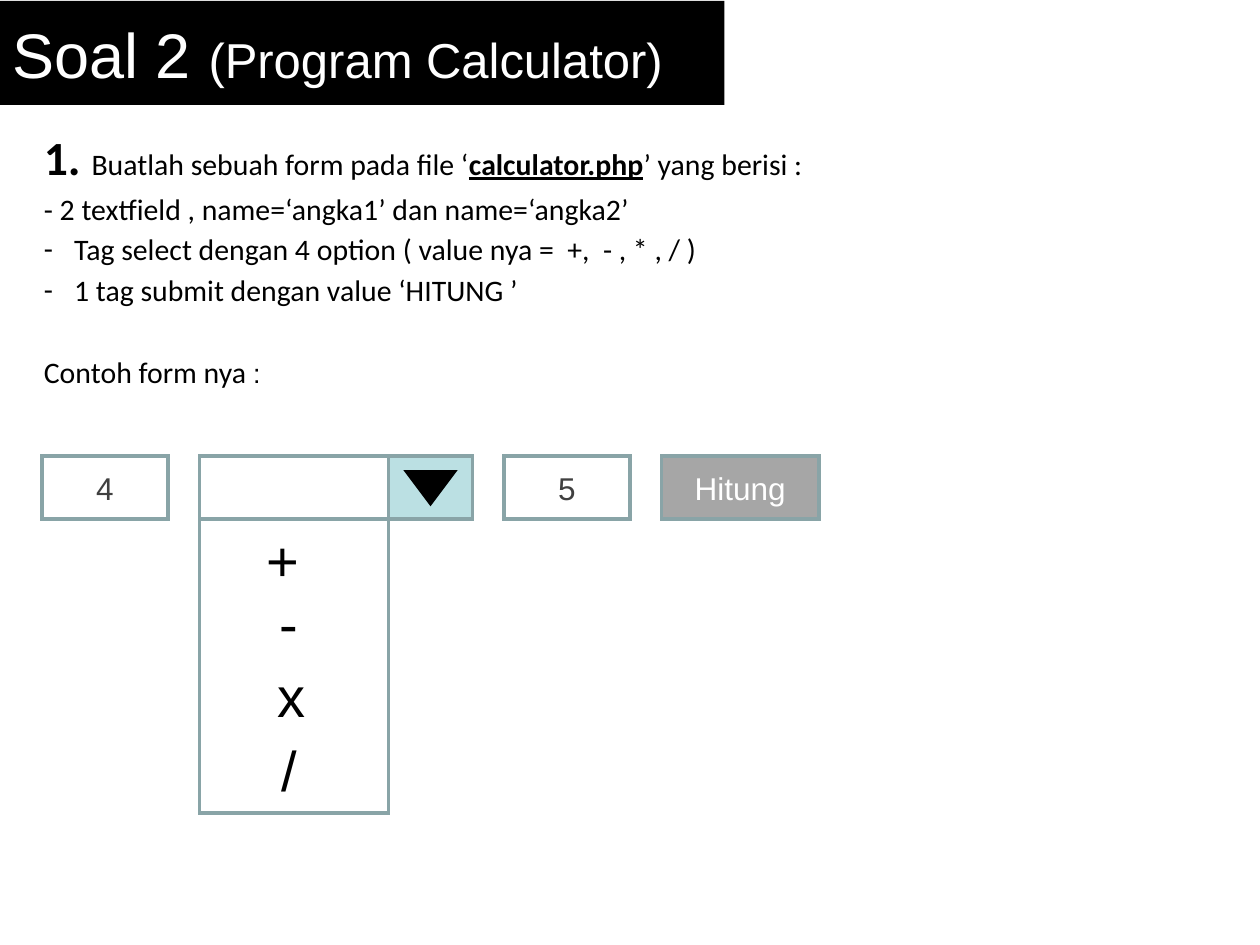
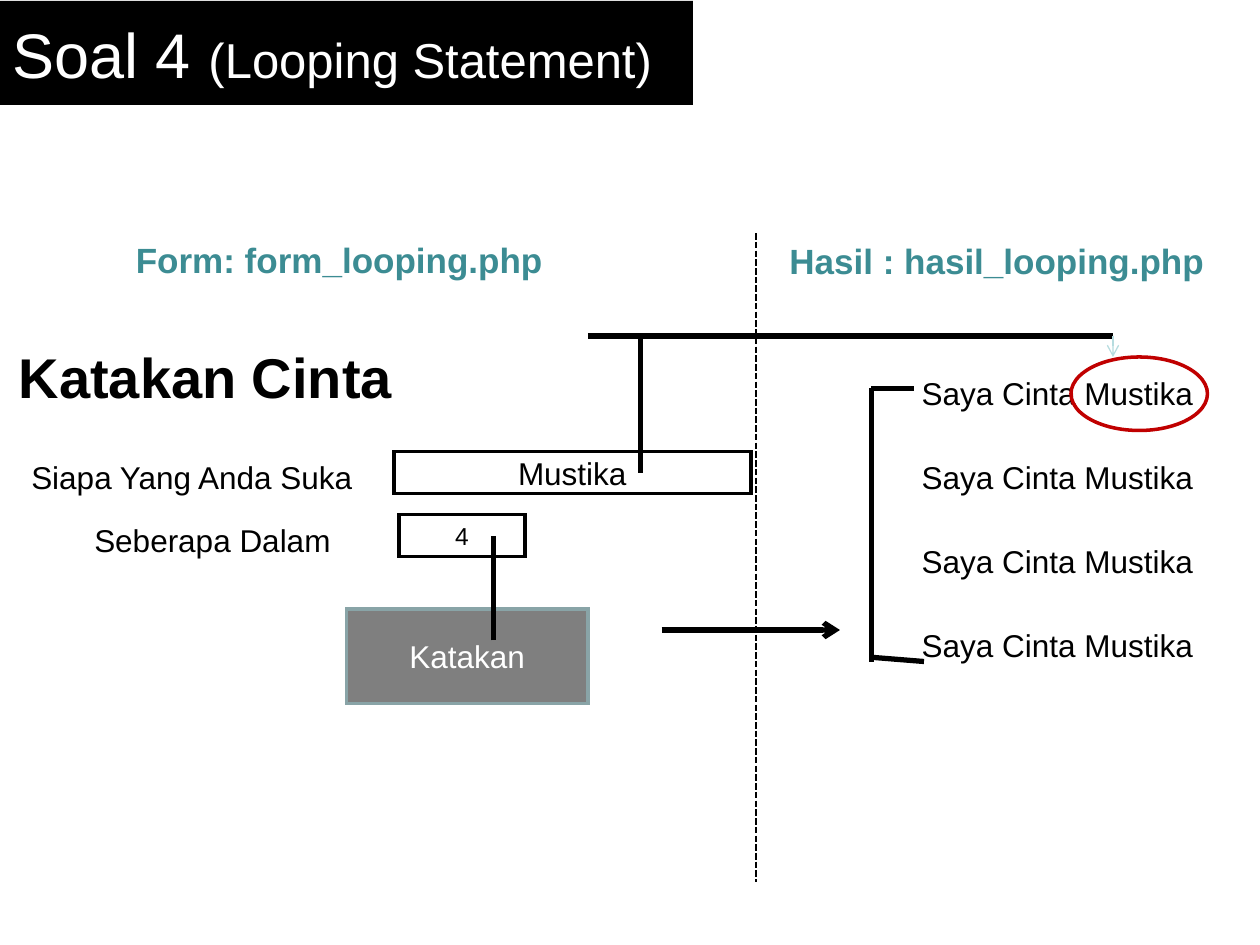
from dataclasses import dataclass

from lxml.etree import SubElement
from pptx import Presentation
from pptx.dml.color import RGBColor
from pptx.enum.dml import MSO_LINE_DASH_STYLE as Dash
from pptx.enum.shapes import MSO_CONNECTOR as Connector
from pptx.enum.shapes import MSO_SHAPE as Shape
from pptx.enum.text import MSO_ANCHOR as Anchor
from pptx.enum.text import PP_ALIGN as Align
from pptx.oxml.ns import qn
from pptx.util import Inches, Pt

COLUMNS, ROWS = 120, 90
CELL = Inches(10) / COLUMNS


@dataclass(frozen=True)
class Theme:
    font: str = "Arial"
    body_font: str = "Calibri"
    black: str = "000000"
    white: str = "FFFFFF"
    field_text: str = "404040"
    border: str = "89A4A7"
    drop_button: str = "BBE0E3"
    submit: str = "A6A6A6"
    say_button: str = "7F7F7F"
    heading: str = "3C8C93"
    highlight: str = "C00000"
    pale_arrow: str = "B6DCDF"
    title_size: float = 36
    subtitle_size: float = 28
    large_size: float = 32
    number_size: float = 27.2
    heading_size: float = 20
    label_size: float = 18
    body_size: float = 17
    colon_size: float = 15.3
    small_size: float = 14
    outline: float = 2
    thick: float = 3
    dashed: float = 1.25
    thin: float = 0.75


THEME = Theme()


def cells(*counts):
    return [round(count * CELL) for count in counts]


def color(value):
    return RGBColor.from_string(value)


def style_font(font, size, ink, bold=False, name=THEME.font):
    font.name = name
    font.size = Pt(size)
    font.bold = bold
    font.color.rgb = color(ink)


def add_run(paragraph, text, size, ink=THEME.black, bold=False, name=THEME.font):
    run = paragraph.add_run()
    run.text = text
    style_font(run.font, size, ink, bold, name)
    return run


def add_box(slide, area, fill=None, border=None, text="", size=THEME.label_size,
            ink=THEME.black, kind=Shape.RECTANGLE):
    shape = slide.shapes.add_shape(kind, *cells(*area))
    shape.shadow.inherit = False
    if fill:
        shape.fill.solid()
        shape.fill.fore_color.rgb = color(fill)
    else:
        shape.fill.background()
    if border:
        shape.line.color.rgb = color(border)
        shape.line.width = Pt(THEME.outline)
        SubElement(shape.element.spPr.find(qn("a:ln")), qn("a:miter"), lim="800000")
    else:
        shape.line.fill.background()
    if text:
        shape.text_frame.text = text
        shape.text_frame.vertical_anchor = Anchor.MIDDLE
        paragraph = shape.text_frame.paragraphs[0]
        paragraph.alignment = Align.CENTER
        style_font(paragraph.runs[0].font, size, ink)
    return shape


def add_label(slide, area, text, size=THEME.label_size, ink=THEME.black, bold=False):
    text_box = slide.shapes.add_textbox(*cells(*area))
    text_box.text_frame.word_wrap = False
    text_box.text_frame.text = text
    style_font(text_box.text_frame.paragraphs[0].runs[0].font, size, ink, bold)


def add_line(slide, start, end, ink=THEME.black, width=THEME.thick, arrow=False, dash=None):
    connector = slide.shapes.add_connector(Connector.STRAIGHT, *cells(*start, *end))
    connector.line.color.rgb = color(ink)
    connector.line.width = Pt(width)
    if dash:
        connector.line.dash_style = dash
    properties = connector.element.spPr
    if arrow:
        SubElement(properties.find(qn("a:ln")), qn("a:tailEnd"), type="arrow")
    SubElement(properties, qn("a:effectLst"))


def add_title(slide, title, subtitle, width):
    band = add_box(slide, (0, 0.1, width, 9.9), THEME.black)
    band.text_frame.vertical_anchor = Anchor.MIDDLE
    paragraph = band.text_frame.paragraphs[0]
    paragraph.alignment = Align.LEFT
    add_run(paragraph, title + " ", THEME.title_size, THEME.white)
    add_run(paragraph, subtitle, THEME.subtitle_size, THEME.white)


def set_dash_bullet(paragraph):
    properties = paragraph._p.get_or_add_pPr()
    indent = Inches(0.24)
    properties.set("marL", str(indent))
    properties.set("indent", str(-indent))
    SubElement(properties, qn("a:buFont"), typeface=THEME.body_font)
    SubElement(properties, qn("a:buChar"), char="-")


def add_instructions(slide):
    text_box = slide.shapes.add_textbox(*cells(3, 12.2, 108, 29))
    frame = text_box.text_frame
    frame.word_wrap = True
    body = {"size": THEME.body_size, "name": THEME.body_font}

    first = frame.paragraphs[0]
    first.line_spacing = 0.9
    add_run(first, "1. ", THEME.number_size, bold=True, name=THEME.body_font)
    add_run(first, "Buatlah sebuah form pada file ‘", **body)
    add_run(first, "calculator.php", bold=True, **body).font.underline = True
    add_run(first, "’ yang berisi :", **body)

    lines = [
        ("- 2 textfield , name=‘angka1’ dan name=‘angka2’", False, 5),
        ("Tag select dengan 4 option ( value nya =  +,  - , * , / )", True, 5),
        ("1 tag submit dengan value ‘HITUNG ’", True, 5),
        ("Contoh form nya ", False, 28),
    ]
    for text, bulleted, space in lines:
        paragraph = frame.add_paragraph()
        paragraph.line_spacing = 0.9
        paragraph.space_before = Pt(space)
        if bulleted:
            set_dash_bullet(paragraph)
        add_run(paragraph, text, **body)
    add_run(paragraph, ":", THEME.colon_size)


def add_calculator_form(slide):
    top, height, gap = 43.44, 6, 3
    number_width, select_width, drop_width, submit_width = 12, 18, 8, 15
    first_left = 4
    select_left = first_left + number_width + gap
    drop_left = select_left + select_width
    second_left = drop_left + drop_width + gap
    submit_left = second_left + number_width + gap

    for left, number in ((first_left, "4"), (second_left, "5")):
        add_box(slide, (left, top, number_width, height), THEME.white, THEME.border,
                number, ink=THEME.field_text)
    add_box(slide, (submit_left, top, submit_width, height), THEME.submit, THEME.border,
            "Hitung", ink=THEME.white)
    add_box(slide, (select_left, top, select_width, height), THEME.white, THEME.border)
    add_box(slide, (drop_left, top, drop_width, height), THEME.drop_button, THEME.border)
    list_top = top + height
    add_box(slide, (select_left, list_top, select_width, 28), THEME.white, THEME.border)
    options = (("+", 5.2, 0), ("-", 6.4, 6), ("x", 6.3, 13), ("/", 6.6, 20))
    for symbol, across, down in options:
        add_label(slide, (select_left + across, list_top + down, 5, 7.7), symbol,
                  THEME.large_size)
    arrow_width, arrow_height = 4.5, 3
    add_box(slide, (drop_left + (drop_width - arrow_width) / 2,
                    top + (height - arrow_height) / 2, arrow_width, arrow_height),
            THEME.black, THEME.black, kind=Shape.FLOWCHART_MERGE)


def add_looping_form(slide):
    add_label(slide, (0.6, 32, 42, 7.7), "Katakan Cinta", THEME.large_size, bold=True)
    add_label(slide, (1.8, 43, 35, 4.8), "Siapa Yang Anda Suka")
    add_label(slide, (7.8, 49, 29, 4.8), "Seberapa Dalam")
    add_box(slide, (37.5, 43, 34, 4), THEME.white, THEME.black, "Mustika")
    add_box(slide, (38, 49, 12, 4), THEME.white, THEME.black, "4", THEME.small_size)
    add_box(slide, (33, 58, 23, 9), THEME.say_button, THEME.border, "Katakan",
            ink=THEME.white)


def add_looping_result(slide):
    for index in range(4):
        add_label(slide, (86.6, 35 + 8 * index, 32, 4.8), "Saya Cinta Mustika")
    add_box(slide, (102, 34, 13, 7), border=THEME.highlight, kind=Shape.OVAL)


def add_flow_lines(slide):
    name_links = [((56, 32), (106, 32)), ((61, 45), (61, 32))]
    repeat_bracket = [((83, 63), (83, 37)), ((87, 37), (83, 37)), ((83, 62.6), (88, 63))]
    count_link = [((47, 61), (47, 51))]
    for start, end in name_links + repeat_bracket + count_link:
        add_line(slide, start, end)
    add_line(slide, (63, 60), (80, 60), arrow=True)
    add_line(slide, (106, 32), (106, 34), THEME.pale_arrow, THEME.thin, arrow=True)
    add_line(slide, (72, 22.2), (72, 84), width=THEME.dashed, dash=Dash.SQUARE_DOT)


def add_page_headings(slide):
    headings = ((11.75, 22.1, "Form: form_looping.php"),
                (74, 22.2, "Hasil : hasil_looping.php"))
    for left, top, text in headings:
        add_label(slide, (left, top, 45.5, 5.3), text, THEME.heading_size,
                  THEME.heading, bold=True)


def main():
    presentation = Presentation()
    presentation.slide_width, presentation.slide_height = cells(COLUMNS, ROWS)
    blank = presentation.slide_layouts[6]

    calculator = presentation.slides.add_slide(blank)
    add_title(calculator, "Soal 2", "(Program Calculator)", 69)
    add_instructions(calculator)
    add_calculator_form(calculator)

    looping = presentation.slides.add_slide(blank)
    add_title(looping, "Soal 4", "(Looping Statement)", 66)
    add_looping_form(looping)
    add_looping_result(looping)
    add_flow_lines(looping)
    add_page_headings(looping)

    presentation.save("out.pptx")


if __name__ == "__main__":
    main()
